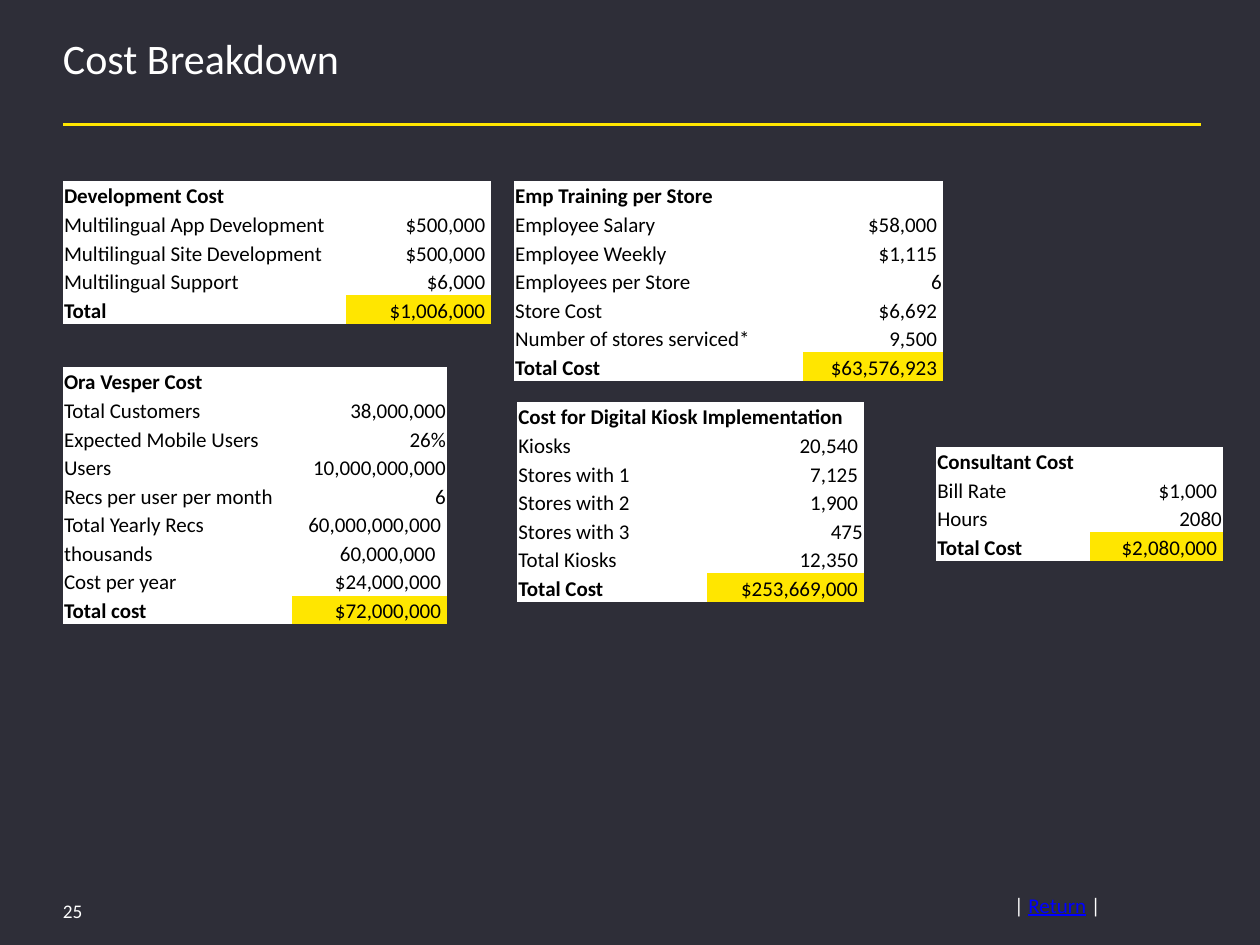
from pptx import Presentation
from pptx.dml.color import RGBColor
from pptx.enum.shapes import MSO_CONNECTOR
from pptx.enum.text import MSO_ANCHOR, PP_ALIGN
from pptx.oxml.ns import qn
from pptx.util import Pt
from lxml import etree

DARK = RGBColor(0x2E, 0x2E, 0x38)
YELLOW = RGBColor(0xFF, 0xE6, 0x00)
WHITE = RGBColor(0xFF, 0xFF, 0xFF)
BLACK = RGBColor(0, 0, 0)
BLUE = RGBColor(0, 0, 0xFF)
FONT = "Calibri"
ROW_HEIGHT = 16.35
NO_STYLE = "{2D5ABB26-0587-4C30-8999-92F81FD0307C}"

# Each table: left, top, column widths, heading, rows; the last row is the total.
# A trailing space is the accounting format's gap at the right edge.
DEVELOPMENT = (36, 103.4, (161.9, 82.7), "Development Cost", [
    ("Multilingual App Development", "$500,000 "),
    ("Multilingual Site Development", "$500,000 "),
    ("Multilingual Support", "$6,000 "),
    ("Total", "$1,006,000 "),
])
ASSISTANT = (36, 209.7, (130.6, 88.8), "Ora Vesper Cost", [
    ("Total Customers", "38,000,000"),
    ("Expected Mobile Users", "26%"),
    ("Users", "10,000,000,000"),
    ("Recs per user per month", "6"),
    ("Total Yearly Recs", "60,000,000,000 "),
    ("thousands", "60,000,000"),
    ("Cost per year", "$24,000,000 "),
    ("Total cost", "$72,000,000 "),
])
TRAINING = (293.8, 103.4, (165, 80), "Emp Training per Store", [
    ("Employee Salary", "$58,000 "),
    ("Employee Weekly", "$1,115 "),
    ("Employees per Store", "6"),
    ("Store Cost", "$6,692 "),
    ("Number of stores serviced*", "9,500 "),
    ("Total Cost", "$63,576,923 "),
])
KIOSKS = (295.6, 229.7, (108.6, 89.4), "Cost for Digital Kiosk Implementation", [
    ("Kiosks", "20,540 "),
    ("Stores with 1", "7,125 "),
    ("Stores with 2", "1,900 "),
    ("Stores with 3", "475"),
    ("Total Kiosks", "12,350 "),
    ("Total Cost", "$253,669,000 "),
])
CONSULTANT = (535, 255.2, (87.6, 76.2), "Consultant Cost", [
    ("Bill Rate", "$1,000 "),
    ("Hours", "2080"),
    ("Total Cost", "$2,080,000 "),
])


def format_run(r, size, color, bold=False):
    r.font.name = FONT
    r.font.size = Pt(size)
    r.font.color.rgb = color
    r.font.bold = bold


def add_text(s, left, top, width, height, parts, size, inset=0):
    """Add a one-line text box; parts are (text, colour) pairs."""
    tf = s.shapes.add_textbox(Pt(left), Pt(top), Pt(width), Pt(height)).text_frame
    tf.word_wrap = True
    tf.margin_left = tf.margin_right = Pt(inset)
    tf.margin_top = tf.margin_bottom = Pt(inset / 2)
    for text, color in parts:
        r = tf.paragraphs[0].add_run()
        r.text = text
        format_run(r, size, color)
    return tf


def add_rule(s, left, right, y):
    line = s.shapes.add_connector(MSO_CONNECTOR.STRAIGHT, Pt(left), Pt(y), Pt(right), Pt(y))
    line.line.color.rgb = YELLOW
    line.line.width = Pt(1.5)
    etree.SubElement(line._element.spPr, qn("a:effectLst"))


def fill_cell(cell, text, fill=WHITE, bold=False, align=PP_ALIGN.LEFT):
    cell.fill.solid()
    cell.fill.fore_color.rgb = fill
    cell.vertical_anchor = MSO_ANCHOR.BOTTOM
    cell.margin_left = cell.margin_right = cell.margin_top = Pt(0.6)
    cell.margin_bottom = Pt(0)
    p = cell.text_frame.paragraphs[0]
    p.text = text
    p.alignment = align
    for r in p.runs:
        format_run(r, 12, BLACK, bold)


def add_cost_table(s, left, top, widths, heading, rows):
    count = len(rows) + 1
    table = s.shapes.add_table(count, 2, Pt(left), Pt(top), Pt(sum(widths)),
                               Pt(ROW_HEIGHT * count)).table
    table.first_row = table.horz_banding = False
    table._tbl.tblPr.find(qn("a:tableStyleId")).text = NO_STYLE
    for column, width in zip(table.columns, widths):
        column.width = Pt(width)
    for row in table.rows:
        row.height = Pt(ROW_HEIGHT)

    # Heading across both columns
    table.cell(0, 0).merge(table.cell(0, 1))
    fill_cell(table.cell(0, 0), heading, bold=True)

    # Items, with the total highlighted
    for i, (label, value) in enumerate(rows, 1):
        is_total = i == len(rows)
        fill_cell(table.cell(i, 0), label, bold=is_total)
        fill_cell(table.cell(i, 1), value, YELLOW if is_total else WHITE,
                  align=PP_ALIGN.RIGHT)
    return table


def main():
    prs = Presentation()
    prs.slide_width, prs.slide_height = Pt(720), Pt(540)
    s = prs.slides.add_slide(prs.slide_layouts[6])
    s.background.fill.solid()
    s.background.fill.fore_color.rgb = DARK

    # Title and rule
    add_rule(s, 36, 686.2, 71.3)
    title = add_text(s, 36, 23, 648, 46.8, [("Cost Breakdown", WHITE)], 24)
    title.paragraphs[0].line_spacing = 0.85

    # Footer
    number = add_text(s, 36, 513.4, 52.6, 14.4, [("25", WHITE)], 11)
    number.vertical_anchor = MSO_ANCHOR.MIDDLE
    link = add_text(s, 572.4, 506.2, 88.6, 28.8,
                    [("| ", WHITE), ("Return", BLUE), (" |", WHITE)], 12, inset=7.2)
    link.paragraphs[0].runs[1].font.underline = True

    # Cost tables
    add_cost_table(s, *DEVELOPMENT)
    assistant = add_cost_table(s, *ASSISTANT)
    assistant.cell(6, 1).margin_right = Pt(6.5)  # the thousands figure is set in
    for cost in (TRAINING, KIOSKS, CONSULTANT):
        add_cost_table(s, *cost)

    prs.save("out.pptx")


if __name__ == "__main__":
    main()
